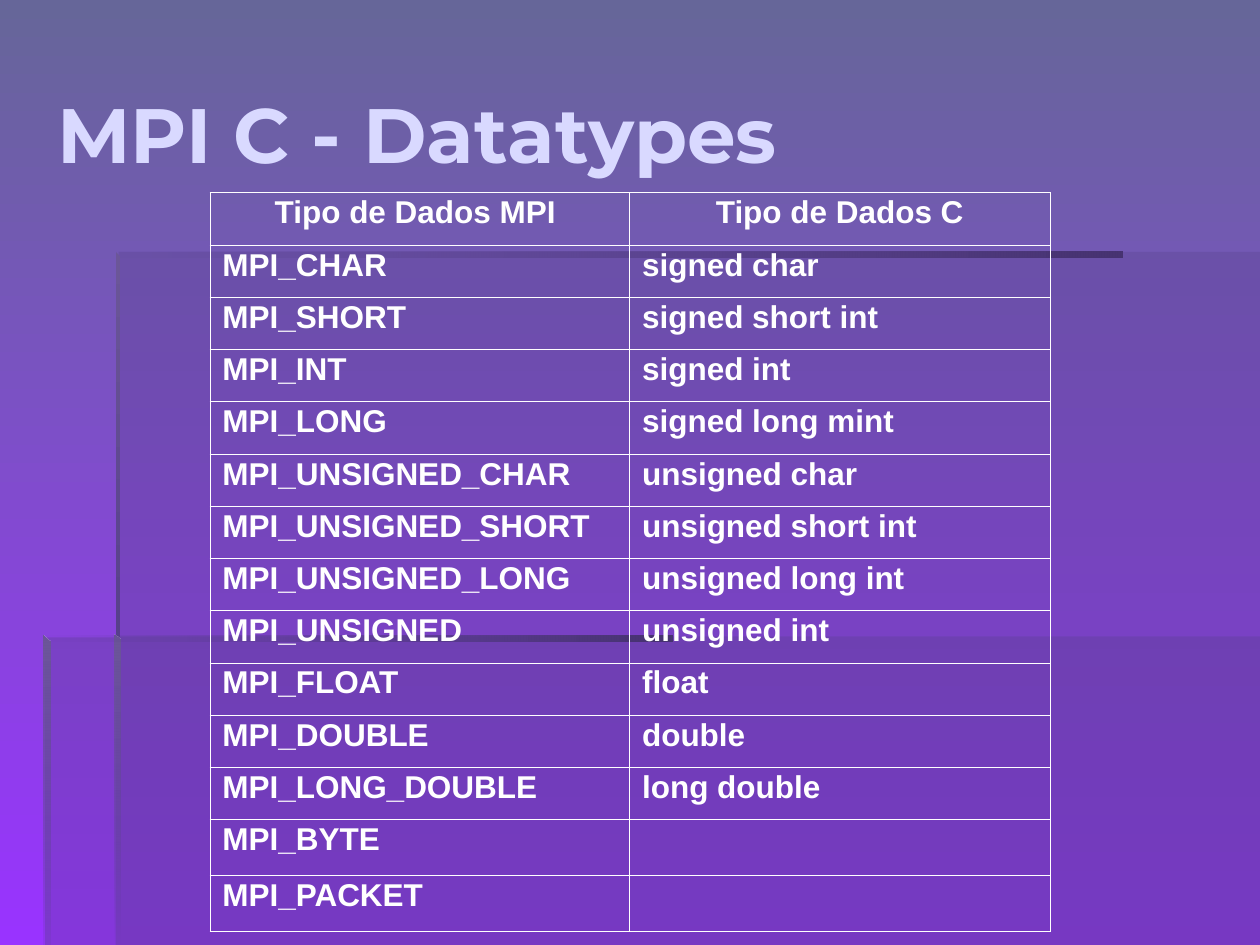
"""Build the slide that pairs MPI datatypes with their C counterparts."""
from dataclasses import dataclass

from lxml.etree import SubElement
from pptx import Presentation
from pptx.dml.color import RGBColor
from pptx.enum.text import MSO_ANCHOR as Anchor, MSO_AUTO_SIZE as AutoSize, PP_ALIGN as Align
from pptx.oxml import parse_xml
from pptx.oxml.ns import nsdecls, qn
from pptx.util import Cm, Pt


@dataclass(frozen=True)
class Theme:
    sky: str = "666699"
    glow: str = "9933FF"
    panel: str = "573F8B"
    shade: str = "473371"
    edge: str = "6B5698"
    title: str = "D9D9FF"
    text: str = "FFFFFF"
    title_font: str = "Montserrat"
    table_font: str = "Arial"
    title_size: int = 44
    table_size: int = 18
    outer_border: float = 0.23
    inner_border: float = 0.11


def write_text(frame, text, *, size, font, color, align=Align.LEFT, spacing=None, before=None):
    paragraph = frame.paragraphs[0]
    paragraph.alignment = align
    paragraph.line_spacing = spacing
    paragraph.space_before = before
    run = paragraph.add_run()
    run.text = text
    run.font.size = Pt(size)
    run.font.name = font
    run.font.bold = True
    run.font.color.rgb = RGBColor.from_string(color)


def paint_gradient(fill, colors, angle):
    fill.gradient()
    fill.gradient_angle = angle
    for stop, color, position in zip(fill.gradient_stops, colors, (0, 1)):
        stop.color.rgb = RGBColor.from_string(color)
        stop.position = position


theme = Theme()
DOWN, LEFTWARD = 270, 180
WIDTH, HEIGHT = 25.4, 19.05

presentation = Presentation()
presentation.slide_width, presentation.slide_height = Cm(WIDTH), Cm(HEIGHT)
slide = presentation.slides.add_slide(presentation.slide_layouts[5])
paint_gradient(slide.background.fill, (theme.sky, theme.glow), DOWN)

title = slide.shapes.title
title.left, title.top, title.width, title.height = Cm(0.9), Cm(0.69), Cm(24.5), Cm(3.99)
title.text_frame.auto_size = AutoSize.NONE
title.text_frame.vertical_anchor = Anchor.MIDDLE
write_text(title.text_frame, "MPI C - Datatypes", size=theme.title_size,
           font=theme.title_font, color=theme.title)

veil = (theme.panel,)
shadow = (theme.shade, theme.panel)
bevel = (theme.edge, theme.panel)
panels = [
    (veil, (30,), None,
     [(2.33, 12.83), (2.33, HEIGHT), (WIDTH, HEIGHT), (WIDTH, 12.83)]),
    (veil, (30,), None,
     [(2.39, 12.85), (0.91, 12.85), (0.91, HEIGHT), (WIDTH, HEIGHT), (WIDTH, 5.08), (2.39, 5.08)]),
    (shadow, (100, 0), LEFTWARD,
     [(2.33, 5.07), (2.33, 5.2), (22.63, 5.2), (22.63, 5.07)]),
    (bevel, (100, 100), DOWN,
     [(2.33, 5.07), (2.33, 12.95), (2.43, 12.95), (2.43, 5.18)]),
    (bevel, (100, 0), DOWN,
     [(2.31, HEIGHT), (2.43, HEIGHT), (2.43, 12.9), (2.31, 12.8)]),
    (shadow, (100, 0), LEFTWARD,
     [(0.88, 12.81), (0.88, 12.94), (13.56, 12.94), (13.56, 12.81)]),
    (bevel, (100, 12), DOWN,
     [(0.88, 12.81), (0.88, HEIGHT), (1.01, HEIGHT), (1.01, 12.94)]),
]
for colors, opacities, angle, corners in panels:
    start, *others = [(Cm(x), Cm(y)) for x, y in corners]
    builder = slide.shapes.build_freeform(*start)
    builder.add_line_segments(others, close=True)
    shape = builder.convert_to_shape()
    shape.shadow.inherit = False
    shape.line.fill.background()
    if angle is None:
        shape.fill.solid()
        shape.fill.fore_color.rgb = RGBColor.from_string(colors[0])
    else:
        paint_gradient(shape.fill, colors, angle)
    for color, opacity in zip(shape.element.spPr.iter(qn("a:srgbClr")), opacities):
        SubElement(color, qn("a:alpha"), val=str(opacity * 1000))
    title.element.addprevious(shape.element)

datatypes = [
    ("Tipo de Dados MPI ", "Tipo de Dados C"),
    ("MPI_CHAR", "signed char"),
    ("MPI_SHORT", "signed short int"),
    ("MPI_INT", "signed int"),
    ("MPI_LONG", "signed long mint"),
    ("MPI_UNSIGNED_CHAR", "unsigned char"),
    ("MPI_UNSIGNED_SHORT", "unsigned short int"),
    ("MPI_UNSIGNED_LONG", "unsigned long int"),
    ("MPI_UNSIGNED", "unsigned int"),
    ("MPI_FLOAT", "float"),
    ("MPI_DOUBLE", "double"),
    ("MPI_LONG_DOUBLE", "long double"),
    ("MPI_BYTE", ""),
    ("MPI_PACKET", ""),
]
TABLE_HEIGHT, TALL_ROW = 14.9, 1.13
last_row = len(datatypes) - 1
paired_rows = sum(all(names) for names in datatypes)
paired_row = (TABLE_HEIGHT - TALL_ROW * (len(datatypes) - paired_rows)) / paired_rows
table = slide.shapes.add_table(len(datatypes), 2, Cm(4.23), Cm(3.88), Cm(16.94), Cm(TABLE_HEIGHT)).table
table.first_row = table.horz_banding = False
table.columns[0].width, table.columns[1].width = Cm(8.46), Cm(8.48)

for row, names in enumerate(datatypes):
    table.rows[row].height = Cm(paired_row if all(names) else TALL_ROW)
    for column, name in enumerate(names):
        cell = table.cell(row, column)
        cell.fill.background()
        if name:
            write_text(cell.text_frame, name, size=theme.table_size, font=theme.table_font,
                       color=theme.text, align=Align.CENTER if row == 0 else Align.LEFT,
                       spacing=0.89, before=Pt(4.5))
        outer_sides = {"lnL": column == 0, "lnR": column == 1, "lnT": row == 0, "lnB": row == last_row}
        properties = cell._tc.get_or_add_tcPr()
        for index, (side, is_outer) in enumerate(outer_sides.items()):
            width = Pt(theme.outer_border if is_outer else theme.inner_border)
            properties.insert(index, parse_xml(
                f'<a:{side} {nsdecls("a")} w="{width}"><a:solidFill>'
                f'<a:srgbClr val="{theme.text}"/></a:solidFill></a:{side}>'))

presentation.save("out.pptx")
